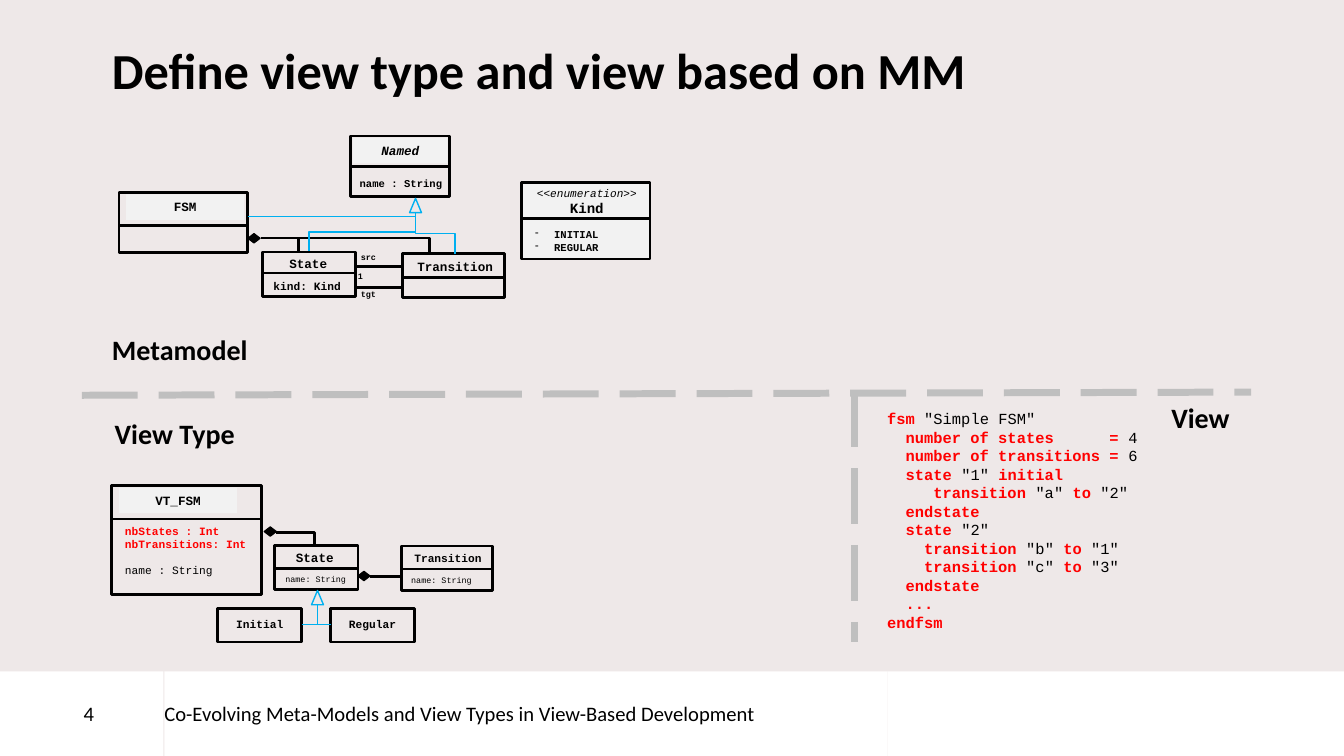
from dataclasses import dataclass, replace
from itertools import cycle

from pptx import Presentation
from pptx.dml.color import RGBColor
from pptx.enum.dml import MSO_LINE
from pptx.enum.shapes import MSO_CONNECTOR as Link, MSO_SHAPE as Preset
from pptx.enum.text import MSO_ANCHOR as Anchor, PP_ALIGN as Align
from pptx.oxml.ns import qn
from pptx.util import Cm, Pt

BLACK = RGBColor(0x00, 0x00, 0x00)
WHITE = RGBColor(0xFF, 0xFF, 0xFF)
RED = RGBColor(0xFF, 0x00, 0x00)
BLUE = RGBColor(0x00, 0xB0, 0xF0)
PALE = RGBColor(0xF2, 0xF2, 0xF2)
GREY = RGBColor(0xBF, 0xBF, 0xBF)
BACKDROP = RGBColor(0xEE, 0xE8, 0xE8)


@dataclass
class Box:
    left: float
    top: float
    width: float
    height: float

    def inner(self, dx, dy, width, height):
        return Box(self.left + dx, self.top + dy, width, height)

    def lengths(self):
        return [Cm(v) for v in (self.left, self.top, self.width, self.height)]


@dataclass
class Style:
    size: float
    bold: bool = True
    italic: bool = False
    color: RGBColor = BLACK
    font: str = "Courier New"


NAME, SMALL_NAME, ROLE = Style(9), Style(8), Style(6)
MEMBER = Style(7.5)
VIEW_MEMBER = Style(6, bold=False)
CAPTION = Style(20, font="Calibri")
FOOTER = Style(14.7, bold=False, font="Calibri")


# Basic parts
def fill_text(frame, paragraphs, align=Align.LEFT):
    frame.word_wrap = True
    for i, runs in enumerate(paragraphs):
        paragraph = frame.paragraphs[0] if i == 0 else frame.add_paragraph()
        paragraph.alignment = align
        for words, style in runs:
            run = paragraph.add_run()
            run.text = words
            run.font.name, run.font.size = style.font, Pt(style.size)
            run.font.bold, run.font.italic = style.bold, style.italic
            run.font.color.rgb = style.color
    return frame


def add_text(slide, box, paragraphs, align=Align.LEFT):
    return fill_text(slide.shapes.add_textbox(*box.lengths()).text_frame, paragraphs, align)


def add_block(slide, box, fill=None, line=None, width=2, preset=Preset.RECTANGLE):
    block = slide.shapes.add_shape(preset, *box.lengths())
    block.shadow.inherit = False
    if fill is None:
        block.fill.background()
    else:
        block.fill.solid()
        block.fill.fore_color.rgb = fill
    if line is None:
        block.line.fill.background()
    else:
        block.line.color.rgb, block.line.width = line, Pt(width)
    return block


def add_line(slide, box, start, end, color=BLACK, width=2, kind=Link.STRAIGHT):
    ends = [Cm(v) for x, y in (start, end) for v in (box.left + x, box.top + y)]
    line = slide.shapes.add_connector(kind, *ends)
    line.line.color.rgb, line.line.width = color, Pt(width)
    properties = line._element.spPr
    properties.append(properties.makeelement(qn("a:effectLst"), {}))
    return line


def add_elbow(slide, box, start, end, bend=1):
    """Black elbow that leaves start sideways and turns down at the bend."""
    elbow = add_line(slide, box, start, end, kind=Link.ELBOW)
    guides = elbow._element.spPr.find(qn("a:prstGeom")).get_or_add_avLst()
    guides.append(guides.makeelement(
        qn("a:gd"), {"name": "adj1", "fmla": f"val {int(bend * 100000)}"}))


def add_branch(slide, box, start, end, preset):
    """Blue elbow that leaves start downwards, towards either side."""
    branch = add_line(slide, box, start, end, BLUE, 1, Link.ELBOW)
    across, down = branch.width, branch.height
    branch.left += (across - down) // 2
    branch.top += (down - across) // 2
    branch.width, branch.height = down, across
    properties = branch._element.spPr
    properties.find(qn("a:prstGeom")).set("prst", preset)
    frame = properties.find(qn("a:xfrm"))
    rightward = end[0] > start[0]
    frame.set("rot", "16200000" if rightward else "5400000")
    frame.set("flipH", "1" if rightward else "0")


def add_diamond(slide, box, x, y):
    add_block(slide, box.inner(x, y, 0.3, 0.23), BLACK, BLACK, 1, Preset.FLOWCHART_DECISION)


def add_triangle(slide, box, x, y):
    add_block(slide, box.inner(x, y, 0.3, 0.36), None, BLUE, 1, Preset.ISOSCELES_TRIANGLE)


def add_class(slide, box, name, split, header, style=NAME, fill=None, body=None, members=()):
    """Class box; header is (dx, dy, width), body is (dx, dy, width)."""
    add_block(slide, box, line=BLACK)
    if split:
        add_line(slide, box, (0, split), (box.width, split))
    band = add_block(slide, box.inner(*header, 0.64), fill)
    band.text_frame.vertical_anchor = Anchor.TOP
    fill_text(band.text_frame, [[(name, style)]], Align.CENTER)
    if members:
        return add_text(slide, box.inner(*body, 0.5), [[member] for member in members])


# Regions
def metamodel(slide, box):
    add_class(slide, box.inner(0, 1.42, 3.23, 1.52), "FSM", 0.84, (0.18, 0.05, 2.97), fill=PALE)
    add_class(slide, box.inner(3.61, 2.92, 2.34, 1.12), "State", 0.53, (0.1, -0.03, 2.11),
              body=(0.03, 0.56, 2.3), members=[("kind: Kind", SMALL_NAME)])
    add_class(slide, box.inner(7.14, 2.95, 2.57, 1.12), "Transition", 0.61, (0.08, 0.03, 2.49))
    add_class(slide, box.inner(5.84, 0, 2.49, 1.52), "Named", 0.76, (0.05, 0.05, 2.39),
              replace(NAME, italic=True), PALE, (-0.03, 0.91, 2.72), [("name : String", MEMBER)])
    # Containment and references
    add_diamond(slide, box, 3.25, 2.46)
    for end in ((4.52, 2.9), (7.82, 2.95)):
        add_elbow(slide, box, (3.58, 2.57), end)
    for y in (3.28, 3.81):
        add_line(slide, box, (5.94, y), (7.14, y))
    for role, x, y in (("src", 5.84, 2.79), ("1", 5.77, 3.28), ("tgt", 5.84, 3.73)):
        add_text(slide, box.inner(x, y, 0.95, 0.5), [[(role, ROLE)]])
    # Inheritance
    add_triangle(slide, box, 7.32, 1.57)
    for end in ((8.46, 2.97), (4.78, 2.9)):
        add_branch(slide, box, (7.47, 1.93), end, "bentConnector3")
    add_line(slide, box, (7.47, 2.03), (3.25, 2.03), BLUE, 1)
    kind_enumeration(slide, box.inner(10.13, 1.17, 3.25, 1.93))
    add_text(slide, box.inner(-0.43, 4.83, 5.08, 1.12), [[("Metamodel", CAPTION)]])


def kind_enumeration(slide, box):
    add_block(slide, box, PALE, BLACK)
    add_line(slide, box, (0, 0.91), (box.width, 0.91))
    stereotype = Style(7.9, bold=False, italic=True)
    add_text(slide, box.inner(0.03, -0.03, 3.25, 1.02),
             [[("<<enumeration>>", stereotype)], [("Kind", Style(10.1))]], Align.CENTER)
    literals = add_text(slide, box.inner(0.1, 1.02, 3.15, 0.89),
                        [[(literal, MEMBER)] for literal in ("INITIAL", "REGULAR")])
    for literal in literals.paragraphs:
        properties = literal._p.get_or_add_pPr()
        properties.set("marL", str(Cm(0.48)))
        properties.set("indent", str(-Cm(0.48)))
        properties.append(properties.makeelement(qn("a:buChar"), {"char": "-"}))


def view_type(slide, box):
    add_text(slide, box.inner(-0.18, 0, 5.08, 1.12), [[("View Type", CAPTION)]])
    derived = replace(SMALL_NAME, color=RED)
    attributes = add_class(
        slide, box.inner(0, 1.88, 3.78, 2.74), "VT_FSM", 0.84, (0.18, 0.05, 2.97), fill=PALE,
        body=(0.08, 0.84, 3.68),
        members=[("nbStates : Int", derived), ("nbTransitions: Int", derived),
                 ("name : String", replace(SMALL_NAME, bold=False))])
    attributes.paragraphs[-1].space_before = Pt(9)
    name_member = [("name: String", VIEW_MEMBER)]
    add_class(slide, box.inner(4.09, 3.38, 2.11, 1.12), "State", 0.58, (0.13, 0, 1.78),
              body=(0.03, 0.61, 2.2), members=name_member)
    add_class(slide, box.inner(7.29, 3.4, 2.29, 1.12), "Transition", 0.58, (0.05, 0, 2.26),
              SMALL_NAME, body=(0, 0.61, 2.26), members=name_member)
    for name, x in (("Initial", 2.67), ("Regular", 5.51)):
        add_class(slide, box.inner(x, 4.98, 2.11, 0.84), name, None, (-0.05, 0.1, 2.21),
                  SMALL_NAME)
    # Containment
    add_diamond(slide, box, 3.84, 2.92)
    add_elbow(slide, box, (4.14, 3.05), (5.11, 3.38))
    add_diamond(slide, box, 6.2, 4.04)
    add_line(slide, box, (6.5, 4.16), (7.29, 4.16))
    # Inheritance
    add_triangle(slide, box, 5.03, 4.52)
    for x in (4.78, 5.51):
        add_branch(slide, box, (5.18, 4.88), (x, 5.38), "bentConnector2")


def view(slide, box):
    border = add_line(slide, box, (0, 0), (0, box.height), GREY, 5)
    border.line.dash_style = MSO_LINE.LONG_DASH
    add_text(slide, box.inner(7.72, 0.1, 1.98, 1.12), [[("View", CAPTION)]])
    # Each line alternates keywords and values
    code = [
        ("fsm ", '"Simple FSM"'),
        ("  number of states      = ", "4"),
        ("  number of transitions = ", "6"),
        ("  state ", '"1" ', "initial"),
        ("     transition ", '"a" ', "to ", '"2"'),
        ("  endstate",),
        ("  state", ' "2"'),
        ("    transition", ' "b" ', "to", ' "1"'),
        ("    transition", ' "c" ', "to", ' "3"'),
        ("  endstate",),
        ("  ...",),
        ("endfsm",),
    ]
    keyword, value = Style(11, color=RED), Style(11, bold=False)
    add_text(slide, box.inner(0.56, 0.33, 7.67, 5.89),
             [list(zip(pieces, cycle((keyword, value)))) for pieces in code])


def title(slide, box):
    frame = add_text(slide, box, [[("Define view type and view based on MM",
                                    Style(36, font="Calibri"))]])
    frame.margin_left = frame.margin_top = frame.margin_right = frame.margin_bottom = 0
    frame.paragraphs[0].line_spacing = Pt(36)


def footer(slide, box):
    cells = ((0, 4.12, "4", 2.11), (4.14, 18.22, "Co-Evolving Meta-Models and View Types in "
              "View-Based Development", 0), (22.36, 11.5, "", 0))
    for x, width, words, inset in cells:
        cell = add_block(slide, box.inner(x, 0, width, box.height), WHITE)
        if words:
            frame = fill_text(cell.text_frame, [[(words, FOOTER)]])
            frame.vertical_anchor = Anchor.MIDDLE
            frame.margin_left, frame.margin_right = Cm(inset), 0
            frame.margin_top = frame.margin_bottom = 0


def main():
    deck = Presentation()
    deck.slide_width, deck.slide_height = Cm(33.86), Cm(19.05)
    slide = deck.slides.add_slide(deck.slide_layouts[6])
    slide.background.fill.solid()
    slide.background.fill.fore_color.rgb = BACKDROP
    footer(slide, Box(0, 16.92, 33.86, 2.13))
    title(slide, Box(2.82, 1.24, 28, 2))
    metamodel(slide, Box(3, 3.43, 13.4, 6))
    separator = add_line(slide, Box(2.06, 9.88, 29.46, 0.08), (0, 0.08), (29.46, 0), GREY, 5)
    separator.line.dash_style = MSO_LINE.LONG_DASH
    view_type(slide, Box(2.82, 10.36, 9.6, 5.9))
    view(slide, Box(21.54, 9.86, 9.8, 6.32))
    deck.save("out.pptx")


if __name__ == "__main__":
    main()
